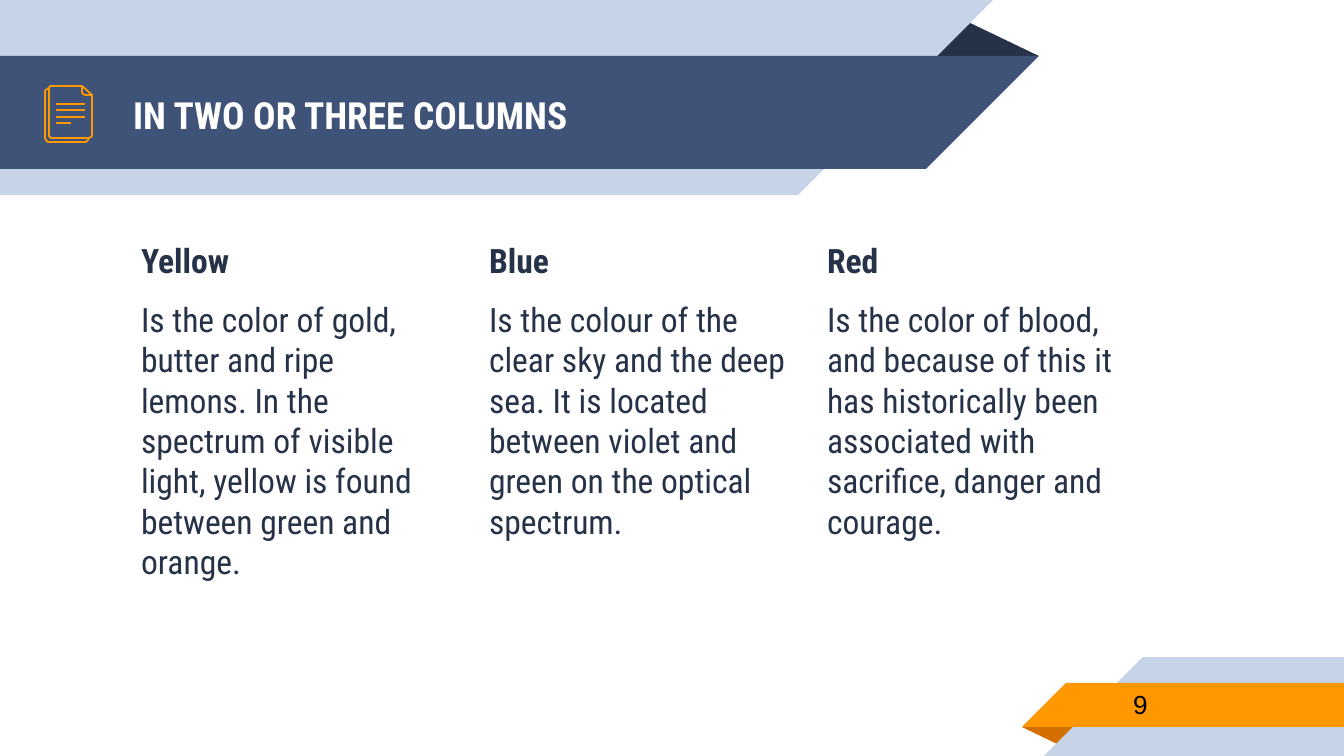
from lxml.etree import SubElement
from pptx import Presentation
from pptx.dml.color import RGBColor
from pptx.enum.shapes import MSO_CONNECTOR, MSO_SHAPE
from pptx.enum.text import MSO_ANCHOR, MSO_AUTO_SIZE, PP_ALIGN
from pptx.oxml.ns import qn
from pptx.util import Emu, Pt

NAVY = RGBColor(0x26, 0x32, 0x48)
BLUE = RGBColor(0x3F, 0x53, 0x78)
PALE = RGBColor(0xC7, 0xD3, 0xE6)
ORANGE = RGBColor(0xFF, 0x98, 0x00)
RUST = RGBColor(0xD2, 0x6F, 0x00)
WHITE = RGBColor(0xFF, 0xFF, 0xFF)
BLACK = RGBColor(0x00, 0x00, 0x00)

SCALE = 914400 / 134.4
WIDTH, HEIGHT = 1344, 756

COLUMNS = [
    (128, "Yellow", "Is the color of gold, butter and ripe lemons. In the spectrum of "
     "visible light, yellow is found between green and orange."),
    (476, "Blue", "Is the colour of the clear sky and the deep sea. It is located "
     "between violet and green on the optical spectrum."),
    (814, "Red", "Is the color of blood, and because of this it has historically been "
     "associated with sacrifice, danger and courage."),
]


def px(length):
    return Emu(round(length * SCALE))


class SlideBuilder:
    font = "Roboto Condensed"
    inset = px(13)
    stroke = Pt(0.96)

    def __init__(self, page):
        self.page = page

    def shape(self, kind, left, top, width, height, color, rotation=0, mirrored=False):
        shape = self.page.shapes.add_shape(kind, px(left), px(top), px(width), px(height))
        shape.shadow.inherit = False
        shape.fill.solid()
        shape.fill.fore_color.rgb = color
        shape.line.fill.background()
        shape.rotation = rotation
        if mirrored:
            shape.element.spPr.get_or_add_xfrm().set("flipH", "1")
        return shape

    def fold(self, left, top, width, height, color, rotation=0):
        fold = self.shape(MSO_SHAPE.ISOSCELES_TRIANGLE, left, top, width, height, color, rotation)
        fold.adjustments[0] = 0.324

    def left_band(self, top, width, height, color):
        self.shape(MSO_SHAPE.RECTANGLE, 0, top, width, height, color)
        self.shape(MSO_SHAPE.RIGHT_TRIANGLE, width, top, height, height, color, 180, True)

    def right_band(self, left, top, height, color):
        self.shape(MSO_SHAPE.RECTANGLE, left, top, WIDTH - left, height, color)
        self.shape(MSO_SHAPE.RIGHT_TRIANGLE, left - height, top, height, height, color, 0, True)

    def outline(self, points, close=False):
        builder = self.page.shapes.build_freeform(*points[0], scale=SCALE)
        builder.add_line_segments(points[1:], close=close)
        outline = builder.convert_to_shape()
        outline.shadow.inherit = False
        outline.fill.background()
        outline.line.color.rgb = ORANGE
        outline.line.width = self.stroke

    def line(self, left, right, y):
        line = self.page.shapes.add_connector(
            MSO_CONNECTOR.STRAIGHT, px(left), px(y), px(right), px(y))
        line.line.color.rgb = ORANGE
        line.line.width = self.stroke
        SubElement(line.element.spPr, qn("a:effectLst"))

    def frame(self, box, left, top, width, height, anchor):
        box.left, box.top, box.width, box.height = px(left), px(top), px(width), px(height)
        frame = box.text_frame
        frame.word_wrap = True
        frame.auto_size = MSO_AUTO_SIZE.NONE
        frame.vertical_anchor = anchor
        frame.margin_left = frame.margin_right = self.inset
        frame.margin_top = frame.margin_bottom = self.inset
        return frame

    def span(self, para, text, size, color, bold=False, font=None):
        para.alignment = PP_ALIGN.LEFT
        span = para.add_run()
        span.text = text
        span.font.name = font or self.font
        span.font.size = Pt(size)
        span.font.bold = bold
        span.font.color.rgb = color

    def title(self, box, text):
        box.element.getparent().append(box.element)
        frame = self.frame(box, 120, 58, 773, 113, MSO_ANCHOR.MIDDLE)
        self.span(frame.paragraphs[0], text, 20, WHITE, True)

    def column(self, box, left, heading, text):
        box.element.getparent().append(box.element)
        frame = self.frame(box, left, 227, 331, 398, MSO_ANCHOR.TOP)
        for para, words, bold in (
            (frame.paragraphs[0], heading, True),
            (frame.add_paragraph(), text, False),
        ):
            para.space_before = Pt(0)
            para.space_after = Pt(10)
            self.span(para, words, 18, NAVY, bold)
            properties = para._p.get_or_add_pPr()
            properties.set("marL", "0")
            properties.set("indent", "0")
            SubElement(properties, qn("a:buNone"))

    def number(self, text):
        box = self.page.shapes.add_textbox(0, 0, 0, 0)
        frame = self.frame(box, 1120, 681, 219, 47, MSO_ANCHOR.MIDDLE)
        self.span(frame.paragraphs[0], text, 14, BLACK, font="Arial")

    def document_icon(self):
        self.outline([(89, 138), (88, 140), (86, 142), (48, 142), (46, 140),
                      (45, 138), (45, 91), (46, 90), (49, 88)])
        self.outline([(92, 95), (92, 136), (91, 137), (89, 138), (51, 138), (49, 136),
                      (49, 88), (50, 86), (82, 86)])
        for right, y in ((71, 123), (85, 117), (85, 110), (85, 104)):
            self.line(56, right, y)
        self.outline([(82, 86), (92, 95), (85, 95), (83, 94), (82, 93)], close=True)


def main():
    deck = Presentation()
    deck.slide_width, deck.slide_height = px(WIDTH), px(HEIGHT)
    page = deck.slides.add_slide(deck.slide_layouts.get_by_name("Comparison"))
    title, *bodies, spare = page.placeholders
    spare.element.getparent().remove(spare.element)

    builder = SlideBuilder(page)
    builder.fold(925, 19, 114, 37, NAVY)
    builder.left_band(0, 798, 195, PALE)
    builder.left_band(56, 926, 113, BLUE)
    builder.fold(1022, 727, 58, 19, RUST, 180)
    builder.right_band(1143, 657, 99, PALE)
    builder.right_band(1066, 683, 44, ORANGE)

    builder.title(title, "IN TWO OR THREE COLUMNS")
    for body, column in zip(bodies, COLUMNS):
        builder.column(body, *column)
    builder.number("9")
    builder.document_icon()
    deck.save("out.pptx")


if __name__ == "__main__":
    main()
